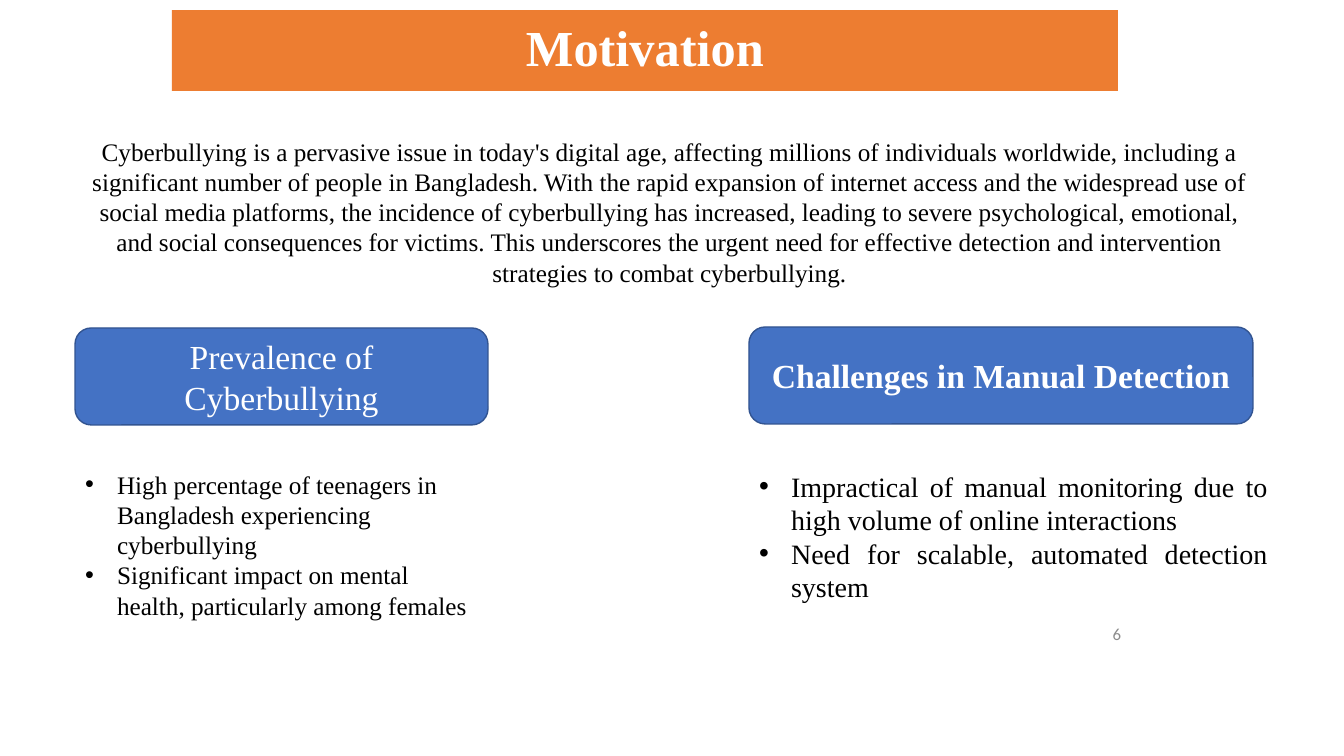
from pptx import Presentation
from pptx.dml.color import RGBColor
from pptx.enum.shapes import MSO_SHAPE
from pptx.enum.text import MSO_ANCHOR, MSO_AUTO_SIZE, PP_ALIGN
from pptx.util import Emu, Pt

EMU_PER_PX = 914400 / 100.8
SERIF = "Times New Roman"
WHITE, BLACK, GREY = "FFFFFF", "000000", "8C8C8C"
ORANGE, BLUE, DARK_BLUE = "ED7D31", "4472C4", "325491"
BULLET_INDENT = 32

INTRO = (
    "Cyberbullying is a pervasive issue in today's digital age, affecting millions of "
    "individuals worldwide, including a significant number of people in Bangladesh. With "
    "the rapid expansion of internet access and the widespread use of social media "
    "platforms, the incidence of cyberbullying has increased, leading to severe "
    "psychological, emotional, and social consequences for victims. This underscores the "
    "urgent need for effective detection and intervention strategies to combat "
    "cyberbullying."
)
PREVALENCE = [
    "High percentage of teenagers in Bangladesh experiencing cyberbullying",
    "Significant impact on mental health, particularly among females",
]
CHALLENGES = [
    "Impractical of manual monitoring due to high volume of online interactions",
    "Need for scalable, automated detection system",
]


def px(length):
    return Emu(round(length * EMU_PER_PX))


def color(value):
    return RGBColor.from_string(value)


def place(shape, box):
    shape.left, shape.top, shape.width, shape.height = map(px, box)


def write(shape, lines, size, ink, align, anchor, bold=False, font=SERIF):
    frame = shape.text_frame
    frame.text = "\n".join(lines)
    frame.word_wrap = True
    frame.auto_size = MSO_AUTO_SIZE.NONE
    frame.vertical_anchor = anchor
    for paragraph in frame.paragraphs:
        paragraph.alignment = align
        paragraph.space_before = Pt(0)
        paragraph.font.name = font
        paragraph.font.size = Pt(size)
        paragraph.font.bold = bold
        paragraph.font.color.rgb = color(ink)


def add_banner(slide, box, heading):
    banner = slide.shapes.title
    place(banner, box)
    banner.fill.solid()
    banner.fill.fore_color.rgb = color(ORANGE)
    write(banner, [heading], 36, WHITE, PP_ALIGN.CENTER, MSO_ANCHOR.MIDDLE, bold=True)
    banner.text_frame.paragraphs[0].line_spacing = 0.9


def add_note(slide, box, line, size, ink, align, anchor, font=SERIF):
    note = slide.shapes.add_textbox(*map(px, box))
    write(note, [line], size, ink, align, anchor, font=font)


def add_topic(slide, box, heading, bold, points, points_box, size, align, placeholder):
    # Rounded heading card
    card = slide.shapes.add_shape(MSO_SHAPE.ROUNDED_RECTANGLE, *map(px, box))
    card.shadow.inherit = False
    card.fill.solid()
    card.fill.fore_color.rgb = color(BLUE)
    card.line.color.rgb = color(DARK_BLUE)
    card.line.width = Pt(1)
    write(card, [heading], 24, WHITE, PP_ALIGN.CENTER, MSO_ANCHOR.MIDDLE, bold=bold)

    # Bulleted points below the card
    place(placeholder, points_box)
    write(placeholder, points, size, BLACK, align, MSO_ANCHOR.TOP)
    for paragraph in placeholder.text_frame.paragraphs:
        properties = paragraph._p.get_or_add_pPr()
        properties.set("marL", str(px(BULLET_INDENT)))
        properties.set("indent", str(-px(BULLET_INDENT)))


def build_motivation(presentation):
    slide = presentation.slides.add_slide(presentation.slide_layouts[3])
    left_points, right_points = slide.placeholders[1], slide.placeholders[2]

    add_banner(slide, (172, 10, 946, 81), "Motivation")
    add_note(slide, (75, 131, 1189, 163), INTRO, 18, BLACK,
             PP_ALIGN.CENTER, MSO_ANCHOR.TOP)
    add_topic(slide, (75, 328, 413, 97), "Prevalence of Cyberbullying", False,
              PREVALENCE, (75, 464, 413, 163), 18, PP_ALIGN.LEFT, left_points)
    add_topic(slide, (749, 327, 504, 97), "Challenges in Manual Detection", True,
              CHALLENGES, (749, 464, 529, 146), 20, PP_ALIGN.JUSTIFY, right_points)

    # Slide number
    add_note(slide, (1071, 612, 60, 43), "6", 12, GREY,
             PP_ALIGN.RIGHT, MSO_ANCHOR.MIDDLE, font="Calibri")


def main():
    presentation = Presentation()
    presentation.slide_width, presentation.slide_height = px(1344), px(756)
    build_motivation(presentation)
    presentation.save("out.pptx")


if __name__ == "__main__":
    main()
